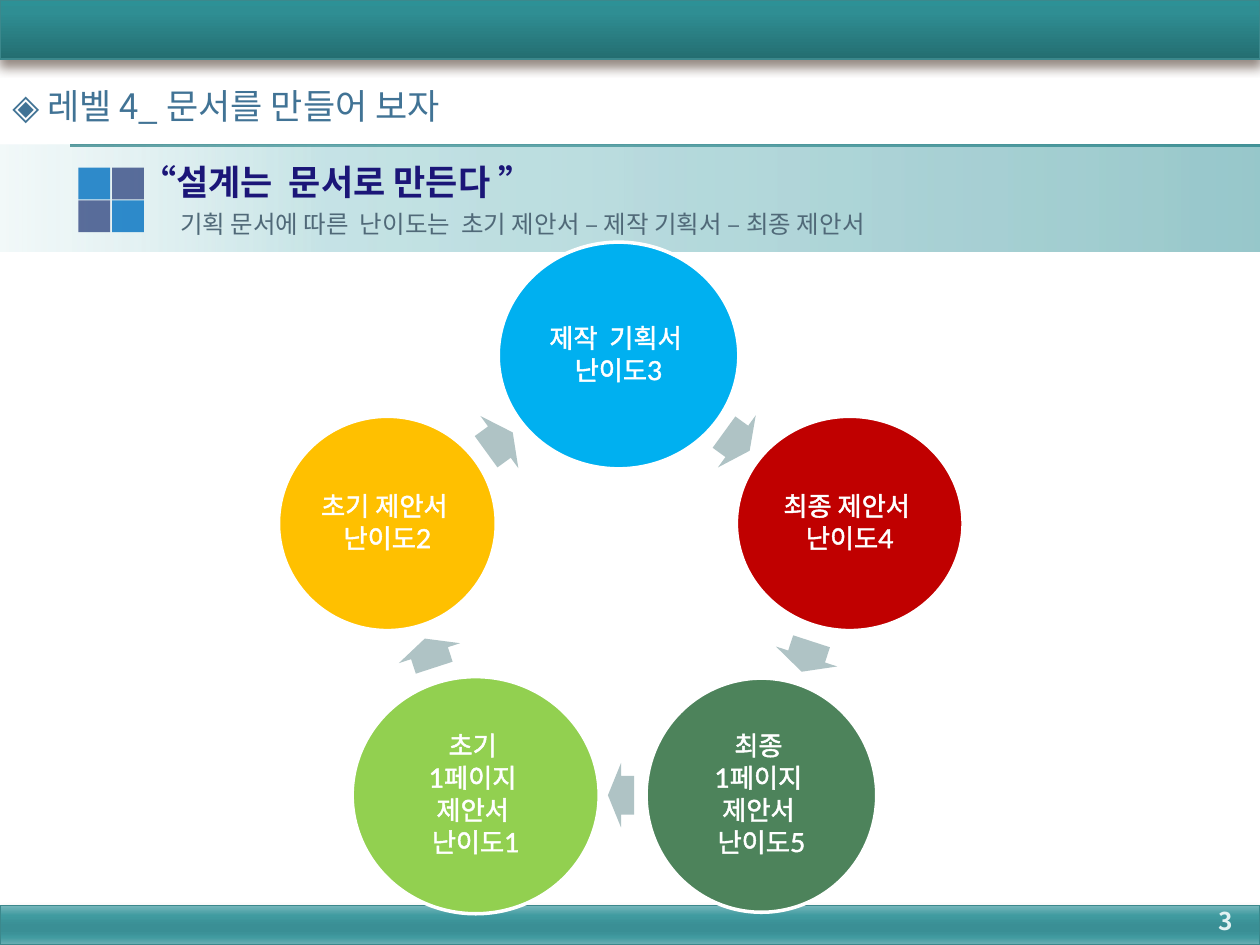
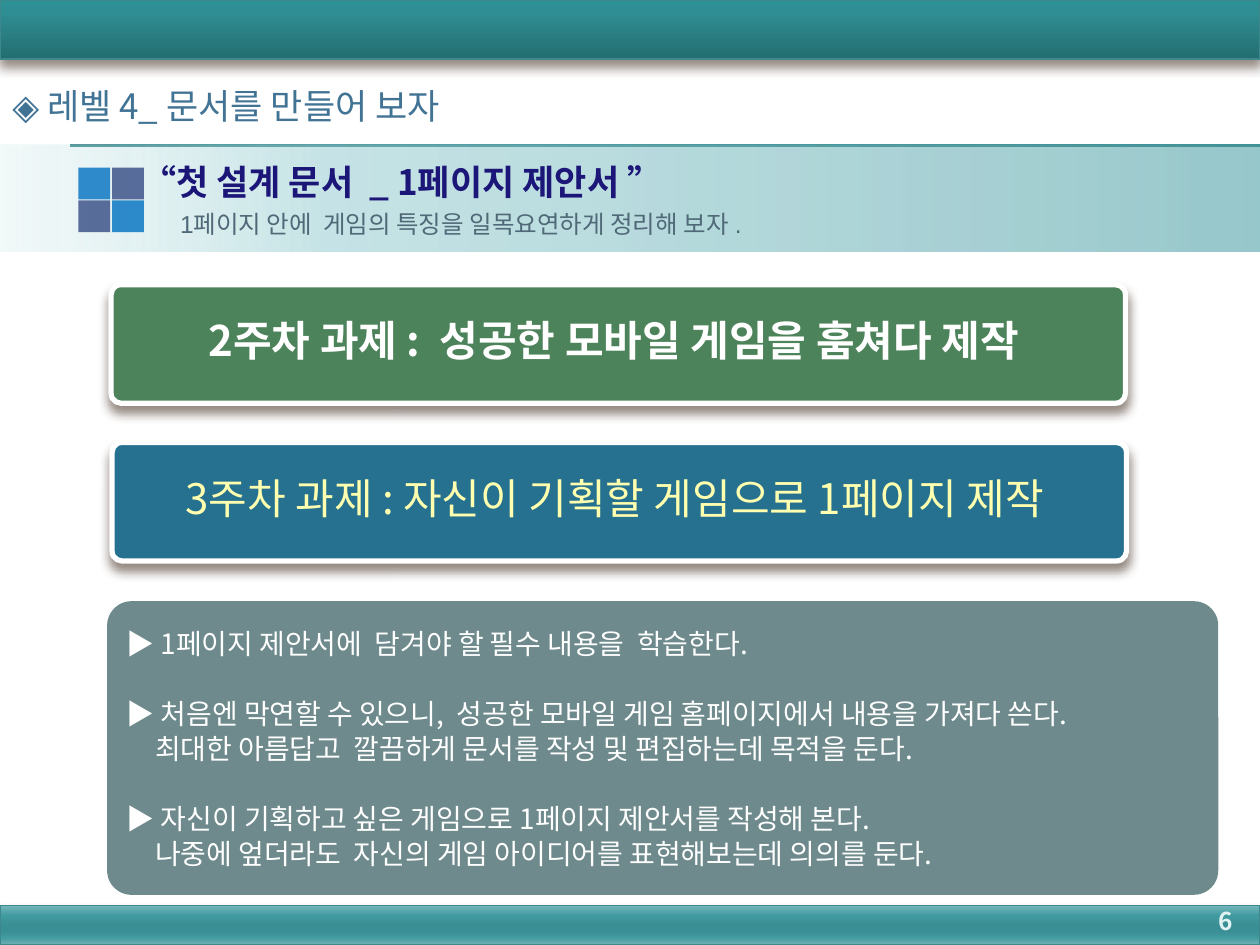
import math

import lxml.etree
import pptx
import pptx.dml.color
import pptx.enum.shapes
import pptx.enum.text
import pptx.oxml.ns
import pptx.util

Cm, Pt, qn = pptx.util.Cm, pptx.util.Pt, pptx.oxml.ns.qn
SHAPE = pptx.enum.shapes.MSO_SHAPE
ALIGN = pptx.enum.text.PP_ALIGN
ANCHOR = pptx.enum.text.MSO_ANCHOR
NOTO = "Noto Sans CJK KR"

COLORS = {
    "white": "FFFFFF", "teal": "3C888C", "shadow": "4E3B30", "level": "417395",
    "title": "1B1678", "subtitle": "506978", "number": "E2F1F2",
    "blue": "0070C0", "indigo": "354B84", "arrow": "AFC3C5", "sky": "00B0F0",
    "red": "C00000", "green": "4D835B", "lime": "92D050", "amber": "FFC000",
    "ocean": "25718F", "cream": "FFFFAF", "panel": "244E51",
}
HEADING_FILL = [(0, "489CA2", 56), (75, "91CACE", 50), (100, "C2E1E4", 20)]
TOP_FILL = [(0, "246E71", 100), (80, "2F8E93", 100), (100, "2D9196", 100)]
FOOTER_FILL = [(0, "74B5BA", 100), (25, "409BA0", 100), (50, "3A8F95", 100),
               (65, "3A8F95", 100), (80, "409A9F", 100), (100, "6CAFB4", 100)]
FONTS = {
    "level": {"size": Pt(20), "name": NOTO, "bold": False},
    "title": {"size": Pt(20), "name": NOTO, "bold": True},
    "subtitle": {"size": Pt(14), "name": "Arial", "bold": False},
    "number": {"size": Pt(14), "name": NOTO, "bold": True},
    "bubble": {"size": Pt(15), "name": "Lato", "bold": False},
    "task": {"size": Pt(24), "name": NOTO, "bold": False},
    "task_bold": {"size": Pt(24), "name": NOTO, "bold": True},
    "panel": {"size": Pt(16), "name": NOTO, "bold": False},
}


def rgb(name):
    """Return the named colour."""
    return pptx.dml.color.RGBColor.from_string(COLORS[name])


def sub(parent, tag, **attrs):
    """Append a child element with the given attributes."""
    return lxml.etree.SubElement(parent, qn(tag), {k: str(v) for k, v in attrs.items()})


def color_xml(parent, value, opacity):
    """Append a colour with an opacity in percent."""
    clr = sub(parent, "a:srgbClr", val=value)
    if opacity < 100:
        sub(clr, "a:alpha", val=opacity * 1000)


def add_shape(slide, kind, box, fill=None, opacity=100, line=None, width=0.79):
    """Add a flat preset shape at a box in centimetres."""
    sp = slide.shapes.add_shape(kind, *map(Cm, box))
    sp.shadow.inherit = False
    if fill:
        sp.fill.solid()
        sp.fill.fore_color.rgb = rgb(fill)
        if opacity < 100:
            clr = sp.element.spPr.find(qn("a:solidFill"))[0]
            sub(clr, "a:alpha", val=opacity * 1000)
    if line:
        sp.line.color.rgb = rgb(line)
        sp.line.width = Pt(width)
    else:
        sp.line.fill.background()
    return sp


def add_gradient(sp, stops, angle):
    """Give a shape a linear gradient fill."""
    spPr = sp.element.spPr
    grad = sub(spPr, "a:gradFill", rotWithShape=1)
    gs_list = sub(grad, "a:gsLst")
    for pos, value, opacity in stops:
        color_xml(sub(gs_list, "a:gs", pos=pos * 1000), value, opacity)
    sub(grad, "a:lin", ang=angle * 60000, scaled=0)
    spPr.insert(2, grad)


def add_shadow(sp):
    """Give a shape a soft shadow that falls downwards."""
    effects = sp.element.spPr.find(qn("a:effectLst"))
    shadow = sub(effects, "a:outerShdw", blurRad=Pt(6), dist=Pt(4), dir=5400000,
                 rotWithShape=0)
    color_xml(shadow, COLORS["shadow"], 60)


def write(sp, lines, style, color, anchor=ANCHOR.TOP, **para):
    """Write styled lines into a shape and return their paragraphs."""
    tf = sp.text_frame
    frame = {"word_wrap": True, "auto_size": pptx.enum.text.MSO_AUTO_SIZE.NONE,
             "vertical_anchor": anchor}
    for key, value in frame.items():
        setattr(tf, key, value)
    paras = []
    for i, line in enumerate(lines):
        p = tf.add_paragraph() if i else tf.paragraphs[0]
        for key, value in {"alignment": ALIGN.LEFT, **para}.items():
            setattr(p, key, value)
        r = p.add_run()
        r.text = line
        for key, value in FONTS[style].items():
            setattr(r.font, key, value)
        r.font.color.rgb = rgb(color)
        sub(r.font._element, "a:ea", typeface=NOTO)
        paras.append(p)
    return paras


def indent(p, left, first):
    """Set the left and first-line indents of a paragraph."""
    pPr = p._p.get_or_add_pPr()
    pPr.set("marL", str(Cm(left)))
    pPr.set("indent", str(Cm(first)))


def add_text(slide, box, text, style, **para):
    """Add a text box with one line, coloured after its style."""
    sp = slide.shapes.add_textbox(*map(Cm, box))
    return write(sp, [text], style, style, **para)[0]


def add_band(slide, box, stops, angle):
    """Add an outlined gradient band with a shadow."""
    sp = add_shape(slide, SHAPE.RECTANGLE, box, line="teal")
    add_gradient(sp, stops, angle)
    add_shadow(sp)


def add_squares(slide, box):
    """Add the two-by-two mark of squares that fills the box."""
    x, y, w, h = box
    side = 0.64
    for i, color in enumerate(["blue", "indigo", "indigo", "blue"]):
        row, col = divmod(i, 2)
        at = (x + col * (w - side), y + row * (h - side), side, side)
        add_shape(slide, SHAPE.FLOWCHART_PROCESS, at, color, 80).rotation = 270


def add_heading(slide, box, title, subtitle):
    """Place the heading band with its rules, title, subtitle and mark."""
    x, y, w, h = box
    for dy in (0, 0.01, 0.03):
        cx = slide.shapes.add_connector(
            pptx.enum.shapes.MSO_CONNECTOR.STRAIGHT,
            Cm(x + 1.42), Cm(y + dy), Cm(x + w), Cm(y + dy))
        cx.line.color.rgb = rgb("teal")
        cx.line.width = Pt(0.75)
        sub(cx._element.spPr, "a:effectLst")
    band = add_shape(slide, SHAPE.FLOWCHART_PROCESS, box)
    add_gradient(band, HEADING_FILL, 180)
    p = add_text(slide, (x + 3.38, y + 1.17, w - 3.38, 0.99), subtitle, "subtitle")
    indent(p, 0.97, -0.97)
    sp = slide.shapes.title
    place = (x + 2.59, y + 0.18, 22.02, 1.78)
    for key, value in zip(("left", "top", "width", "height"), place):
        setattr(sp, key, Cm(value))
    indent(write(sp, [title], "title", "title")[0], 0.97, -0.97)
    slide.shapes.element.append(sp.element)
    add_squares(slide, (x + 1.58, y + 0.46, 1.32, 1.3))


def add_footer(slide, box):
    """Place the bottom band."""
    add_band(slide, box, FOOTER_FILL, 90)


def add_number(slide, box, number):
    """Place the page number."""
    add_text(slide, box, number, "number", anchor=ANCHOR.MIDDLE, alignment=ALIGN.RIGHT)


def new_slide(prs, title, subtitle, number):
    """Add a slide with the shared bands, heading and page number."""
    slide = prs.slides.add_slide(prs.slide_layouts[5])
    add_heading(slide, (0, 2.92, 25.4, 2.16), title, subtitle)
    add_footer(slide, (0, 18.26, 25.4, 0.79))
    p = add_text(slide, (0, 1.57, 24.41, 1.19), "◈ 레벨 4_ 문서를 만들어 보자 ", "level")
    indent(p, 0.97, -0.97)
    add_band(slide, (0, 0, 25.4, 1.19), TOP_FILL, 270)
    add_number(slide, (23.83, 18.06, 1.27, 1.02), number)
    return slide


def add_bubble(slide, box, color, lines):
    """Add one round step of the cycle."""
    sp = add_shape(slide, SHAPE.OVAL, box, color, line="white", width=2)
    for side in ("left", "top", "right", "bottom"):
        setattr(sp.text_frame, "margin_" + side, Cm(0.05))
    paras = write(sp, lines, "bubble", "white", ANCHOR.MIDDLE, alignment=ALIGN.CENTER,
                  line_spacing=0.9, space_after=Pt(2.2))
    for p in paras:
        rPr = p.runs[0].font._element
        ln = sub(rPr, "a:ln", w=Pt(0.75))
        color_xml(sub(ln, "a:solidFill"), COLORS["white"], 100)
        rPr.insert(0, ln)


def add_cycle(slide, box, steps):
    """Place the steps on a ring, with an arrow in each gap between them."""
    x, y, w, h = box
    cx, cy, radius = x + w / 2, y + 0.53 * h, 4.9
    turn = 2 * math.pi / len(steps)
    edge = 2 * radius * math.sin(turn / 2)
    apothem = radius * math.cos(turn / 2)
    for i, (bw, bh, color, lines) in enumerate(steps):
        px = cx + radius * math.sin(i * turn)
        py = cy - radius * math.cos(i * turn)
        add_bubble(slide, (px - bw / 2, py - bh / 2, bw, bh), color, lines)
        next_w, next_h = steps[(i + 1) % len(steps)][:2]
        near, far = (bw + bh) / 4, (next_w + next_h) / 4
        angle, shift = (i + 0.5) * turn, (near - far) / 2
        ax = cx + apothem * math.sin(angle) + shift * math.cos(angle)
        ay = cy - apothem * math.cos(angle) + shift * math.sin(angle)
        aw, ah = 0.54 * (edge - near - far), 1.3
        sp = add_shape(slide, SHAPE.RIGHT_ARROW, (ax - aw / 2, ay - ah / 2, aw, ah), "arrow")
        sp.adjustments[0] = 0.6
        sp.rotation = math.degrees(angle)


def add_task(slide, box, fill, text, style, color):
    """Place a raised card with one task."""
    sp = add_shape(slide, SHAPE.ROUNDED_RECTANGLE, box, fill, line="white", width=3)
    sp.adjustments[0] = 0.083
    add_shadow(sp)
    write(sp, [text], style, color, ANCHOR.MIDDLE, alignment=ALIGN.CENTER,
          line_spacing=Pt(24))


def add_panel(slide, box, items):
    """Place the panel of notes, with later lines indented under the first."""
    sp = add_shape(slide, SHAPE.ROUNDED_RECTANGLE, box, "panel", 66)
    sp.adjustments[0] = 0.083
    lines = [line for item in items for line in item]
    paras = write(sp, lines, "panel", "white", ANCHOR.MIDDLE, line_spacing=Pt(20))
    for i, p in enumerate(paras):
        if not lines[i].startswith("▶"):
            indent(p, 0.58, 0)
        elif i:
            p.space_before = Pt(20)


def main():
    """Build and save the deck."""
    prs = pptx.Presentation()
    prs.slide_width, prs.slide_height = Cm(25.4), Cm(19.05)

    slide = new_slide(prs, "“설계는  문서로 만든다 ”",
                      "기획 문서에 따른  난이도는  초기 제안서 – 제작 기획서 – 최종 제안서 ", "3")
    page = ["1페이지 ", "제안서 "]
    add_cycle(slide, (5.59, 4.88, 13.76, 13.56), [
        (4.85, 4.57, "sky", ["제작  기획서 ", "난이도3"]),
        (4.57, 4.32, "red", ["최종 제안서 ", "난이도4"]),
        (4.65, 4.72, "green", ["최종 ", *page, "난이도5"]),
        (4.98, 4.78, "lime", ["초기 ", *page, "난이도1"]),
        (4.39, 4.32, "amber", ["초기 제안서 ", "난이도2"]),
    ])

    slide = new_slide(prs, "“첫 설계 문서  _ 1페이지 제안서 ”",
                      "1페이지 안에  게임의 특징을 일목요연하게 정리해 보자 .", "6")
    add_task(slide, (2.26, 8.92, 20.45, 2.39), "ocean",
             "3주차 과제 : 자신이 기획할 게임으로 1페이지 제작 ", "task", "cream")
    add_task(slide, (2.24, 5.74, 20.45, 2.39), "green",
             "2주차 과제 :  성공한 모바일 게임을 훔쳐다 제작 ", "task_bold", "white")
    add_panel(slide, (2.16, 12.12, 22.4, 5.92), [
        ["▶ 1페이지 제안서에  담겨야 할 필수 내용을  학습한다. "],
        ["▶ 처음엔 막연할 수 있으니,  성공한 모바일 게임 홈페이지에서 내용을 가져다 쓴다.",
         "최대한 아름답고  깔끔하게 문서를 작성 및 편집하는데 목적을 둔다."],
        ["▶ 자신이 기획하고 싶은 게임으로 1페이지 제안서를 작성해 본다. ",
         "나중에 엎더라도  자신의 게임 아이디어를 표현해보는데 의의를 둔다. "],
    ])
    prs.save("out.pptx")


main()
